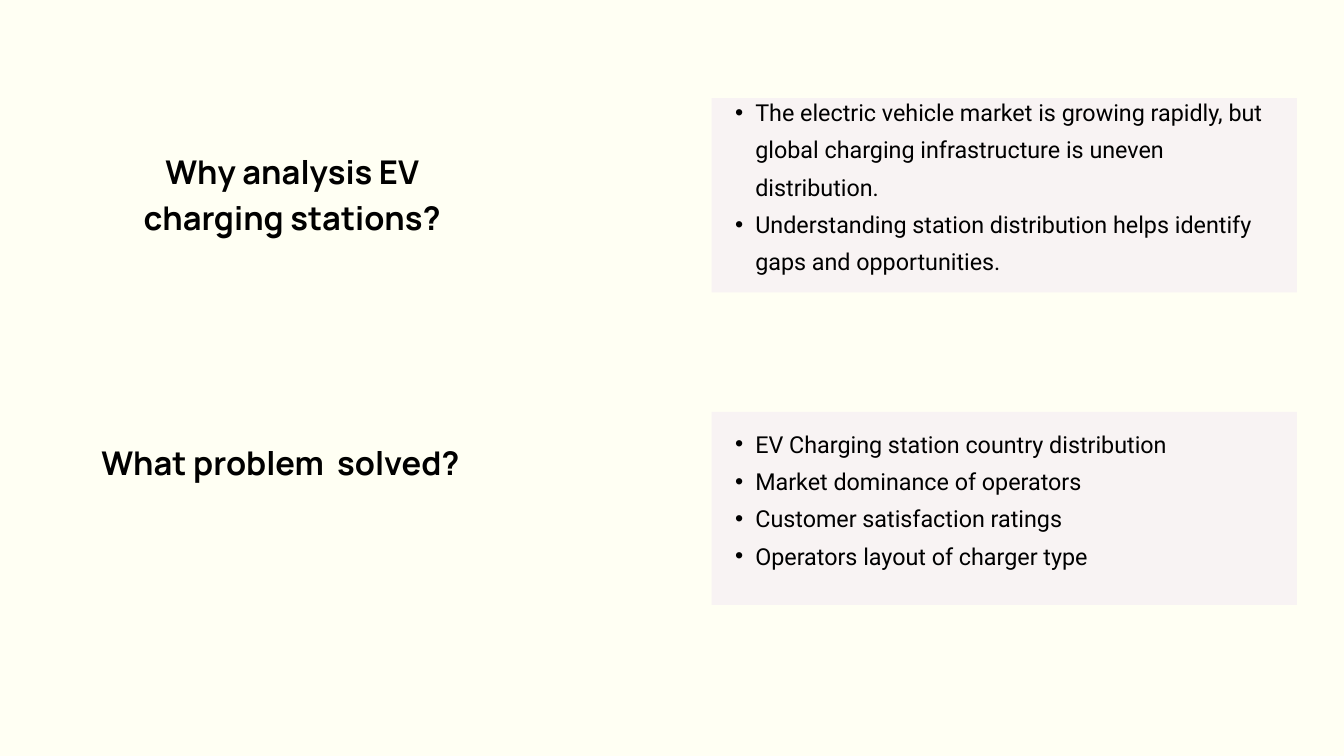
from dataclasses import dataclass

from lxml.etree import SubElement
from pptx import Presentation
from pptx.dml.color import RGBColor
from pptx.enum.shapes import MSO_SHAPE
from pptx.enum.text import MSO_ANCHOR, PP_ALIGN
from pptx.oxml.ns import qn
from pptx.slide import Slide
from pptx.util import Inches, Pt

WIDTH, HEIGHT = Inches(20), Inches(11.25)
COLORS = {"background": "FFFFF3", "panel": "F8F3F3", "text": "000000"}

# Shares of the slide, in percent
PANEL_LEFT, PANEL_WIDTH = 52.95, 43.55
TEXT_RISE = 3.47  # the answer's text box starts this far above its panel


@dataclass(frozen=True)
class Box:
    """A rectangle in percent of the slide's width and height."""
    left: float
    top: float
    width: float
    height: float

    def emu(self) -> tuple[int, int, int, int]:
        return (int(WIDTH * self.left / 100), int(HEIGHT * self.top / 100),
                int(WIDTH * self.width / 100), int(HEIGHT * self.height / 100))


@dataclass(frozen=True)
class Topic:
    question: str
    question_box: Box
    answers: tuple[str, ...]
    panel_top: float
    panel_height: float


TOPICS = (
    Topic("Why analysis EV charging stations?", Box(8.35, 19.2, 26.8, 12.18),
          ("The electric vehicle market is growing rapidly, but global "
           "charging infrastructure is uneven distribution.",
           "Understanding station distribution helps identify gaps and "
           "opportunities."),
          12.98, 25.69),
    Topic("What problem  solved?", Box(5.6, 57.69, 30.55, 6.13),
          ("EV Charging station country distribution",
           "Market dominance of operators",
           "Customer satisfaction ratings",
           "Operators layout of charger type"),
          54.49, 25.51),
)


def rgb(name: str) -> RGBColor:
    return RGBColor.from_string(COLORS[name])


def add_bullet(p) -> None:
    p.level = 1
    pPr = p._p.get_or_add_pPr()
    pPr.set("marL", str(Inches(0.59)))
    pPr.set("indent", str(Inches(-0.3)))
    SubElement(pPr, qn("a:buFont"), typeface="Arial")
    SubElement(pPr, qn("a:buChar"), char="•")


def add_text(s: Slide, box: Box, lines: tuple[str, ...], *, font: str,
             size: float, spacing: float, bold: bool = False,
             align: PP_ALIGN = PP_ALIGN.LEFT,
             anchor: MSO_ANCHOR = MSO_ANCHOR.TOP,
             inset: float = 0, bullets: bool = False) -> None:
    tf = s.shapes.add_textbox(*box.emu()).text_frame
    tf.word_wrap = True
    tf.vertical_anchor = anchor
    tf.margin_left = tf.margin_right = Inches(inset)
    tf.margin_top = tf.margin_bottom = Inches(inset)
    for i, line in enumerate(lines):
        p = tf.add_paragraph() if i else tf.paragraphs[0]
        if bullets:
            add_bullet(p)
        p.alignment = align
        p.line_spacing = Pt(spacing)
        r = p.add_run()
        r.text = line
        r.font.name = font
        r.font.size = Pt(size)
        r.font.bold = bold
        r.font.color.rgb = rgb("text")


def add_panel(s: Slide, box: Box) -> None:
    sp = s.shapes.add_shape(MSO_SHAPE.RECTANGLE, *box.emu())
    sp.shadow.inherit = False
    sp.fill.solid()
    sp.fill.fore_color.rgb = rgb("panel")
    sp.line.fill.background()


def add_topic(s: Slide, topic: Topic) -> None:
    """Draw a question on the left and its answers in a panel on the right."""
    top, height = topic.panel_top, topic.panel_height
    add_panel(s, Box(PANEL_LEFT, top, PANEL_WIDTH, height))
    add_text(s, Box(PANEL_LEFT, top - TEXT_RISE, PANEL_WIDTH, height + TEXT_RISE),
             topic.answers, font="Roboto", size=25, spacing=40,
             anchor=MSO_ANCHOR.MIDDLE, inset=0.06, bullets=True)
    add_text(s, topic.question_box, (topic.question,), font="Manrope", size=35,
             spacing=49, bold=True, align=PP_ALIGN.CENTER)


def main() -> None:
    prs = Presentation()
    prs.slide_width, prs.slide_height = WIDTH, HEIGHT
    s = prs.slides.add_slide(prs.slide_layouts[6])
    s.background.fill.solid()
    s.background.fill.fore_color.rgb = rgb("background")
    for topic in TOPICS:
        add_topic(s, topic)
    prs.save("out.pptx")


if __name__ == "__main__":
    main()
